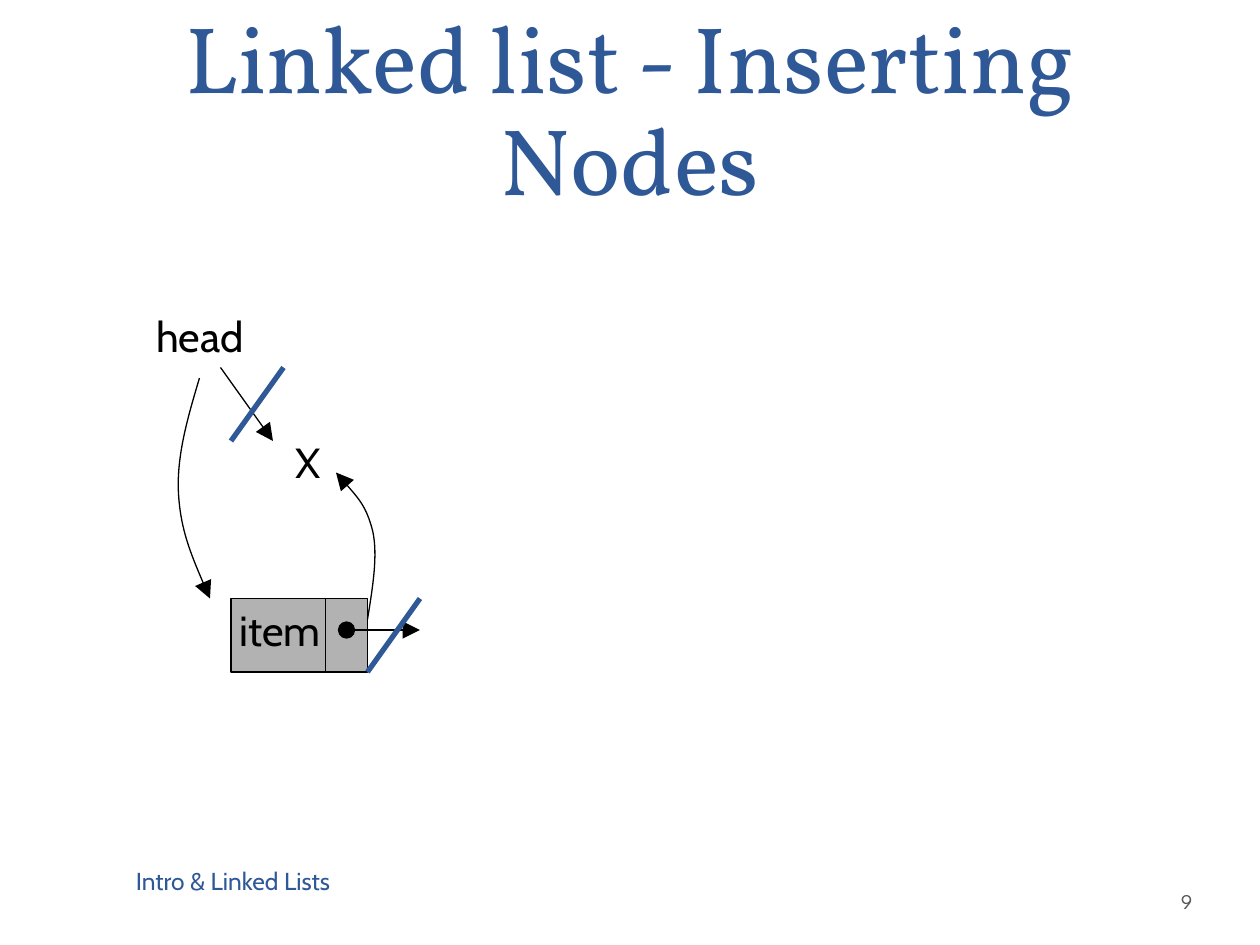
from dataclasses import dataclass
from typing import Optional

from pptx import Presentation
from pptx import util as u
from pptx.dml.color import RGBColor
from pptx.enum import shapes, text
from pptx.oxml.ns import qn
from lxml import etree


@dataclass(frozen=True)
class Theme:
    blue: str = "2F5897"
    black: str = "000000"
    node: str = "B2B2B2"
    muted: str = "595959"
    title_font: str = "Vollkorn"
    body_font: str = "Cabin"
    number_font: str = "League Spartan"
    title_size: int = 54
    label_size: int = 24
    footer_size: int = 14
    number_size: int = 12
    thin: float = 0.75
    thick: float = 3


@dataclass(frozen=True)
class Label:
    words: str
    box: tuple  # column, row, columns wide, rows high
    size: int = Theme.label_size
    font: str = Theme.body_font
    color: str = Theme.black
    anchor: text.MSO_ANCHOR = text.MSO_ANCHOR.TOP
    wrap: bool = False
    align: text.PP_ALIGN = text.PP_ALIGN.LEFT
    spacing: Optional[int] = None
    insets: tuple = (0.1, 0.1)  # left, right


@dataclass(frozen=True)
class Line:
    start: tuple
    end: tuple
    color: str = Theme.black
    width: float = Theme.thin
    head: Optional[str] = None
    tail: Optional[str] = None


THEME = Theme()
CELL = u.Inches(1) // 12  # the slide is 120 columns by 90 rows

# Text on the slide
TITLE = Label("Linked list - Inserting Nodes", (6, 0, 108, 21), THEME.title_size,
              THEME.title_font, THEME.blue, text.MSO_ANCHOR.BOTTOM, True,
              text.PP_ALIGN.CENTER, 58)
FOOTER = Label("Intro & Linked Lists", (11.75, 80.9, 52, 6), THEME.footer_size,
               color=THEME.blue, anchor=text.MSO_ANCHOR.MIDDLE, wrap=True)
NUMBER = Label("9", (112.1, 83.4, 7.3, 4.8), THEME.number_size, THEME.number_font,
               THEME.muted, text.MSO_ANCHOR.MIDDLE, True, insets=(0.03, 0.05))
HEAD = Label("head", (13.7, 29, 11.8, 6))
NULL = Label("X", (27, 41, 4.7, 6))
ITEM = Label("item", (21.6, 57, 10.8, 6))

# Pointers: straight ones, the strokes that cancel them, and the new curves
HEAD_POINTER = Line((21, 35), (26, 42), tail="triangle")
NODE_DIVIDER = Line((31, 57), (31, 64))
NEXT_POINTER = Line((33, 60), (40, 60), head="oval", tail="triangle")
HEAD_STROKE = Line((27, 35), (22, 42), THEME.blue, THEME.thick)
NEXT_STROKE = Line((40, 57), (35, 64), THEME.blue, THEME.thick)
NODE = (22, 57, 13, 7)
HEAD_CURVE = [(19, 36), (17.9, 39.7), (16.8, 43.4), (17, 47),
              (17.2, 50.5), (18.6, 53.8), (20, 57)]
NEXT_CURVE = [(35, 59), (35.5, 55.9), (36, 52.9), (35.5, 50.6),
              (34.9, 48.2), (33.5, 46.7), (32, 45)]


def grid(*cells: float) -> list:
    return [round(c * CELL) for c in cells]


def style_line(s, color: str, width: float, head=None, tail=None) -> None:
    s.line.color.rgb = RGBColor.from_string(color)
    s.line.width = u.Pt(width)
    ln = s.line._get_or_add_ln()
    for tag, kind in (("a:headEnd", head), ("a:tailEnd", tail)):
        if kind:
            etree.SubElement(ln, qn(tag), type=kind, w="lg", len="lg")


def add_label(parent, label: Label) -> None:
    s = parent.add_textbox(*grid(*label.box))
    tf = s.text_frame
    tf.word_wrap = label.wrap
    tf.vertical_anchor = label.anchor
    tf.margin_left, tf.margin_right = map(u.Inches, label.insets)
    p = tf.paragraphs[0]
    p.alignment = label.align
    if label.spacing:
        p.line_spacing = u.Pt(label.spacing)
    r = p.add_run()
    r.text = label.words
    r.font.name = label.font
    r.font.size = u.Pt(label.size)
    r.font.color.rgb = RGBColor.from_string(label.color)


def add_line(parent, line: Line) -> None:
    s = parent.add_connector(shapes.MSO_CONNECTOR.STRAIGHT,
                             *grid(*line.start, *line.end))
    style_line(s, line.color, line.width, line.head, line.tail)
    etree.SubElement(s._element.spPr, qn("a:effectLst"))


def add_curve(parent, points: list) -> None:
    """Draw a Bezier arrow: a start, then two controls and an end per piece."""
    start, *rest = [grid(*point) for point in points]
    builder = parent.build_freeform(*start)
    builder.add_line_segments(rest, close=False)
    s = builder.convert_to_shape()
    steps = list(s._element.iter(qn("a:lnTo")))
    for i in range(0, len(steps), 3):
        bezier = etree.Element(qn("a:cubicBezTo"))
        steps[i].addprevious(bezier)
        for step in steps[i:i + 3]:
            bezier.append(step[0])
            step.getparent().remove(step)
    s.shadow.inherit = False
    s.fill.background()
    style_line(s, THEME.black, THEME.thin, tail="triangle")


def add_node(parent) -> None:
    s = parent.add_shape(shapes.MSO_SHAPE.RECTANGLE, *grid(*NODE))
    s.shadow.inherit = False
    s.fill.solid()
    s.fill.fore_color.rgb = RGBColor.from_string(THEME.node)
    style_line(s, THEME.black, THEME.thin)


def main() -> None:
    prs = Presentation()
    prs.slide_width, prs.slide_height = u.Inches(10), u.Inches(7.5)
    sp = prs.slides.add_slide(prs.slide_layouts[6]).shapes

    # Title, footer and slide number
    for label in (TITLE, FOOTER, NUMBER):
        add_label(sp, label)

    # Head with its old pointer to null
    head = sp.add_group_shape().shapes
    add_label(head, HEAD)
    add_line(head, HEAD_POINTER)
    add_label(sp, NULL)

    # The new node
    node = sp.add_group_shape().shapes
    add_node(node)
    add_label(node, ITEM)
    add_line(node, NODE_DIVIDER)
    add_line(node, NEXT_POINTER)

    # New pointers and cancelled old ones
    for curve, stroke in ((HEAD_CURVE, HEAD_STROKE), (NEXT_CURVE, NEXT_STROKE)):
        add_curve(sp, curve)
        add_line(sp, stroke)

    prs.save("out.pptx")


if __name__ == "__main__":
    main()
